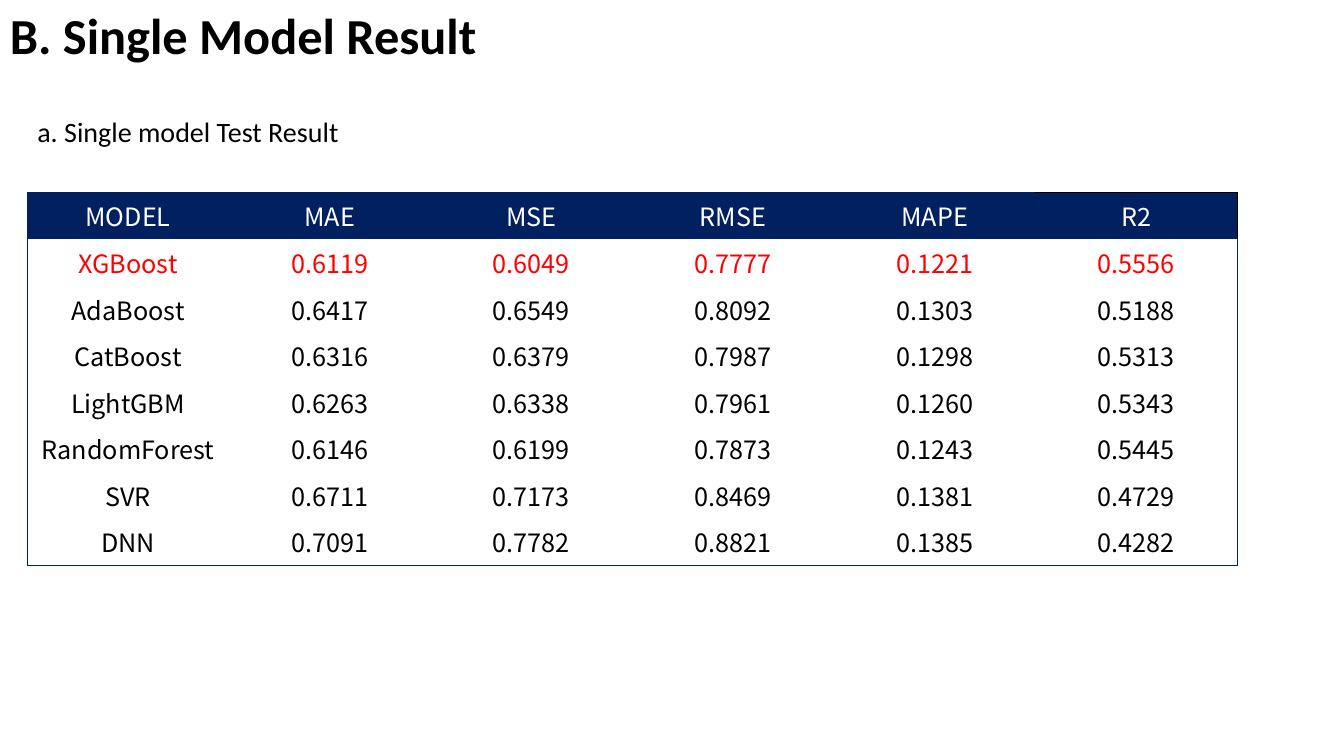
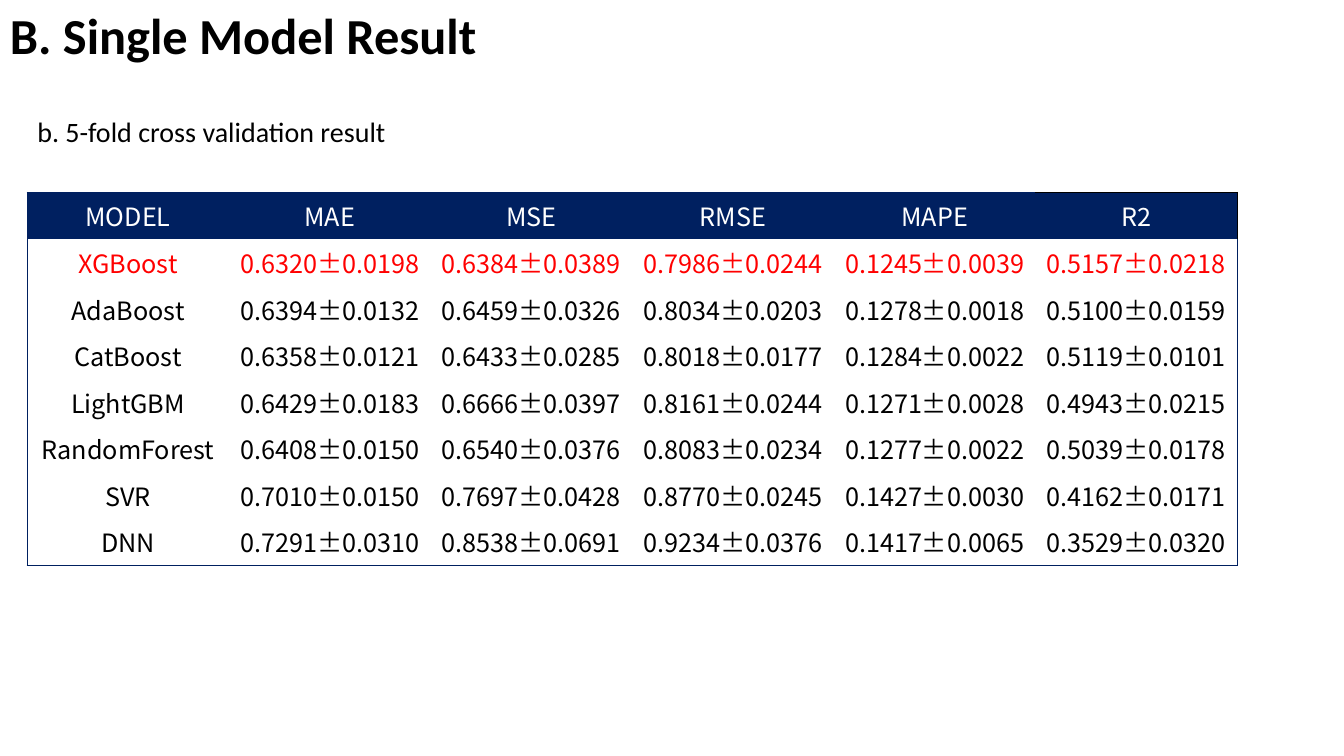
from lxml import etree
from pptx import Presentation
from pptx.dml.color import RGBColor
from pptx.enum import text
from pptx.oxml import ns
from pptx.util import Inches, Pt

# Shared style
NAVY = RGBColor(0x00, 0x20, 0x60)
RED = RGBColor(0xFF, 0x00, 0x00)
BLACK = RGBColor(0x00, 0x00, 0x00)
WHITE = RGBColor(0xFF, 0xFF, 0xFF)
TEXT_FONT = "Calibri"
TABLE_FONT = "Noto Sans CJK KR"
PLAIN_TABLE = "{2D5ABB26-0587-4C30-8999-92F81FD0307C}"

# Content
HEADING = "B. Single Model Result"
HEADER = ["MODEL", "MAE", "MSE", "RMSE", "MAPE", "R2"]
TEST_ROWS = """
XGBoost 0.6119 0.6049 0.7777 0.1221 0.5556
AdaBoost 0.6417 0.6549 0.8092 0.1303 0.5188
CatBoost 0.6316 0.6379 0.7987 0.1298 0.5313
LightGBM 0.6263 0.6338 0.7961 0.1260 0.5343
RandomForest 0.6146 0.6199 0.7873 0.1243 0.5445
SVR 0.6711 0.7173 0.8469 0.1381 0.4729
DNN 0.7091 0.7782 0.8821 0.1385 0.4282
"""
FOLD_ROWS = """
XGBoost 0.6320±0.0198 0.6384±0.0389 0.7986±0.0244 0.1245±0.0039 0.5157±0.0218
AdaBoost 0.6394±0.0132 0.6459±0.0326 0.8034±0.0203 0.1278±0.0018 0.5100±0.0159
CatBoost 0.6358±0.0121 0.6433±0.0285 0.8018±0.0177 0.1284±0.0022 0.5119±0.0101
LightGBM 0.6429±0.0183 0.6666±0.0397 0.8161±0.0244 0.1271±0.0028 0.4943±0.0215
RandomForest 0.6408±0.0150 0.6540±0.0376 0.8083±0.0234 0.1277±0.0022 0.5039±0.0178
SVR 0.7010±0.0150 0.7697±0.0428 0.8770±0.0245 0.1427±0.0030 0.4162±0.0171
DNN 0.7291±0.0310 0.8538±0.0691 0.9234±0.0376 0.1417±0.0065 0.3529±0.0320
"""
SLIDES = [
    ("a. Single model Test Result", TEST_ROWS),
    ("b. 5-fold cross validation result", FOLD_ROWS),
]


def write(tf, content, size=18, font=TEXT_FONT, color=BLACK, bold=False,
          align=text.PP_ALIGN.LEFT, spacing=None):
    """Put one formatted paragraph into a text frame."""
    p = tf.paragraphs[0]
    p.alignment, p.line_spacing = align, spacing
    r = p.add_run()
    r.text = content
    r.font.size, r.font.name, r.font.bold = Pt(size), font, bold
    r.font.color.rgb = color
    ea = etree.SubElement(r.font._element, ns.qn("a:ea"))
    ea.set("typeface", font)


def set_borders(cell, borders):
    """Draw 1 pt lines on the named sides (L, R, T, B); clear the others."""
    tcPr = cell._tc.get_or_add_tcPr()
    for side in "LRTB":
        ln = etree.SubElement(tcPr, ns.qn(f"a:ln{side}"), w=str(Pt(1)))
        if side in borders:
            fill = etree.SubElement(ln, ns.qn("a:solidFill"))
            etree.SubElement(fill, ns.qn("a:srgbClr"), val=str(borders[side]))
        else:
            etree.SubElement(ln, ns.qn("a:noFill"))


class Deck:
    def __init__(self):
        self.prs = Presentation()
        self.prs.slide_width, self.prs.slide_height = Inches(13.33), Inches(7.5)
        self.s = None

    def add_slide(self):
        self.s = self.prs.slides.add_slide(self.prs.slide_layouts[5])

    def frame(self, sp):
        tf = sp.text_frame
        tf.word_wrap = True
        tf.auto_size = text.MSO_AUTO_SIZE.NONE
        tf.vertical_anchor = text.MSO_ANCHOR.MIDDLE
        return tf

    def heading(self, content):
        sp = self.s.shapes.add_textbox(0, 0, Inches(8.3), Inches(0.75))
        write(self.frame(sp), content, size=36, bold=True, spacing=0.9)

    def title(self, content):
        sp = self.s.shapes.title
        sp.left, sp.top = Inches(0.27), Inches(1.07)
        sp.width, sp.height = Inches(12), Inches(0.51)
        write(self.frame(sp), content, size=20, spacing=0.9)

    def table(self, rows):
        """Results table: navy header, best model in red, ruled rows."""
        last = len(rows[0]) - 1
        table = self.s.shapes.add_table(
            len(rows), last + 1, Inches(0.27), Inches(1.91),
            Inches(12), Inches(0.46) * len(rows)).table
        table.horz_banding = False
        table._tbl.tblPr.find(ns.qn("a:tableStyleId")).text = PLAIN_TABLE
        text_colors = {0: WHITE, 1: RED}
        for i, row in enumerate(rows):
            for j, value in enumerate(row):
                cell = table.cell(i, j)
                cell.vertical_anchor = text.MSO_ANCHOR.MIDDLE
                # The last header cell is edged in black
                edge = BLACK if i == 0 and j == last else NAVY
                borders = {"T" if i == 0 else "B": edge}
                if j == 0:
                    borders["L"] = edge
                if j == last:
                    borders["R"] = edge
                set_borders(cell, borders)
                if i == 0:
                    cell.fill.solid()
                    cell.fill.fore_color.rgb = NAVY
                else:
                    cell.fill.background()
                write(cell.text_frame, value, font=TABLE_FONT,
                      color=text_colors.get(i, BLACK),
                      align=text.PP_ALIGN.CENTER)


def main():
    deck = Deck()
    for title, results in SLIDES:
        deck.add_slide()
        deck.heading(HEADING)
        deck.title(title)
        deck.table([HEADER] + [line.split() for line in results.strip().splitlines()])
    deck.prs.save("out.pptx")


if __name__ == "__main__":
    main()
